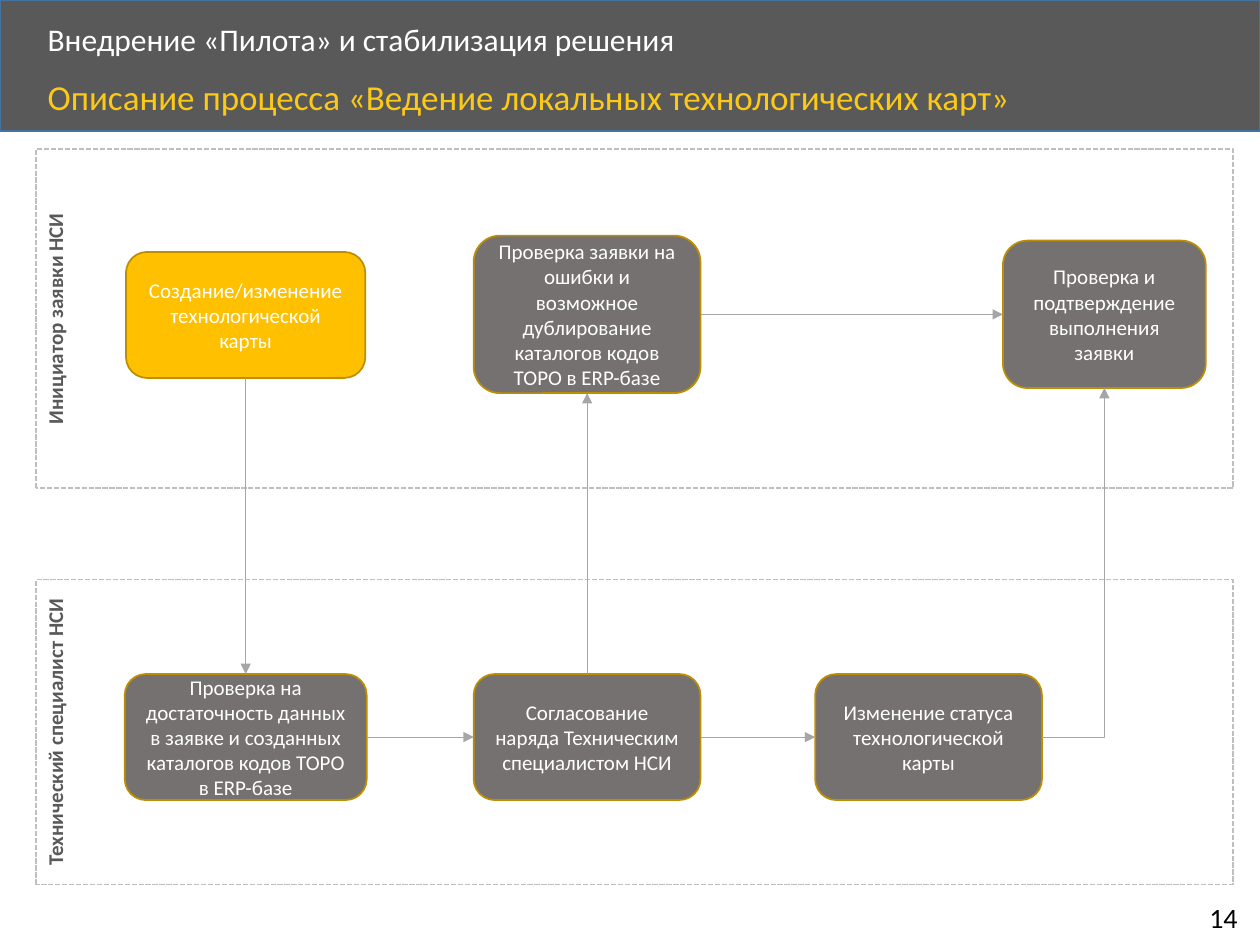
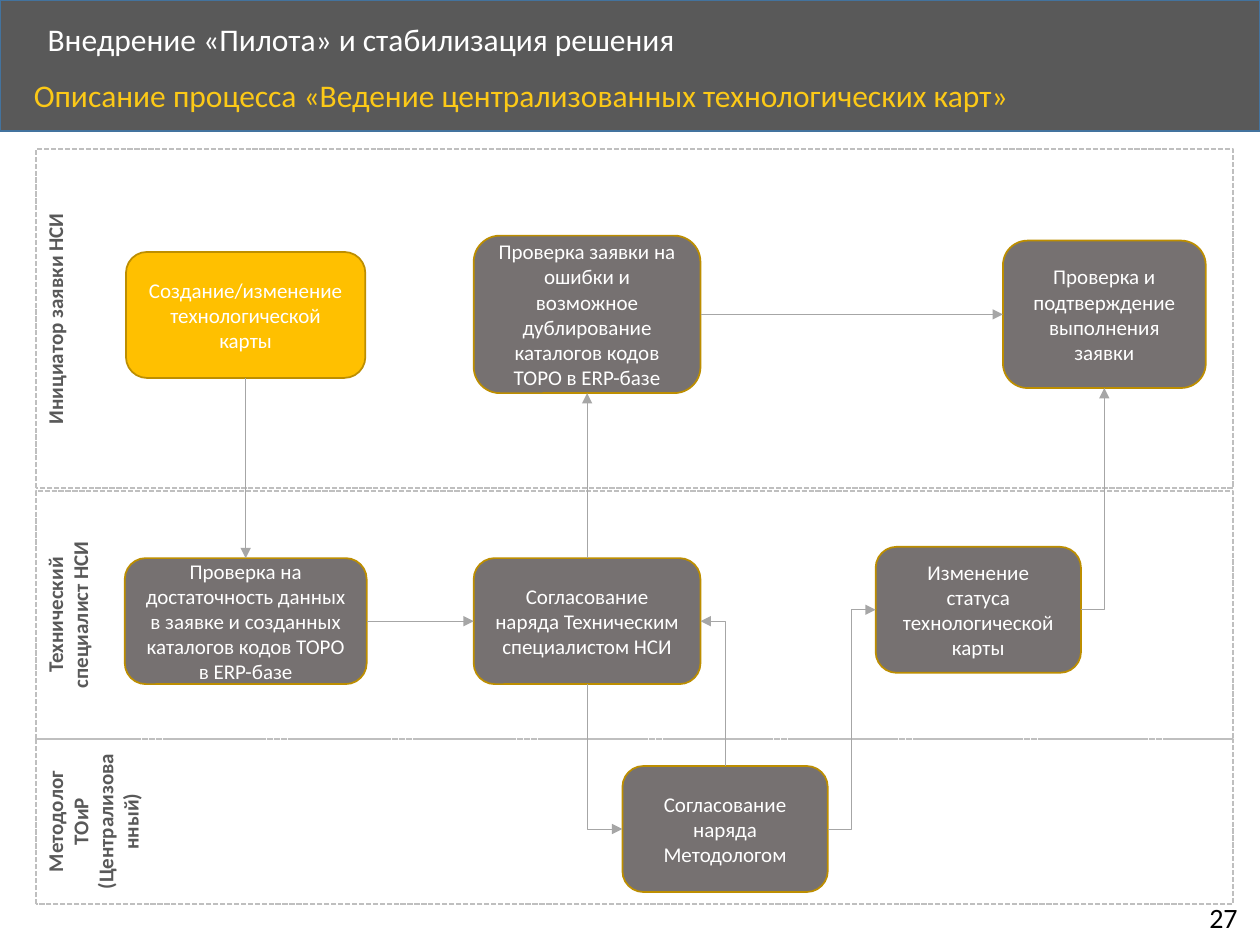
"""Build two swimlane slides on the upkeep of technological charts."""
from typing import NamedTuple

from lxml import etree
from pptx import Presentation
from pptx import util as u
from pptx.dml.color import RGBColor
from pptx.enum import dml, shapes, text
from pptx.oxml.ns import qn

WIDTH, HEIGHT = u.Inches(10), u.Inches(7.5)
COL, ROW = WIDTH / 100, HEIGHT / 75
FONT = "Calibri"
TOP, LEFT, BOTTOM, RIGHT = range(4)
HUE = {
    "band": "595959", "rim": "43739E", "white": "FFFFFF", "gold": "FCC917",
    "black": "000000", "lane": "BFBFBF", "step": "767171", "start": "FFC000",
    "edge": "BD8E00", "link": "A6A6A6",
}


class Area(NamedTuple):
    x: float
    y: float
    w: float
    h: float


class Lane(NamedTuple):
    y: float
    h: float
    words: str


class Step(NamedTuple):
    area: Area
    words: str
    fill: str = "step"


class Link(NamedTuple):
    head: str
    out: int
    tail: str
    into: int
    kind: str = "line"
    back: bool = False


class Page(NamedTuple):
    no: str
    title: str
    x: float
    size: int
    lanes: list[Lane]
    steps: dict[str, Step]
    links: list[Link]


LANE_X, LANE_W = 2.85, 95
FIRST = Lane(11.85, 26.9, "Инициатор заявки НСИ")
EXPERT = "Технический специалист НСИ"
STATUS = "Изменение статуса технологической карты"


def base(y: float) -> dict[str, Step]:
    """Give the steps both slides share; y is the row of the lower ones."""
    return {
        "start": Step(Area(10, 20, 19, 10),
                      "Создание/изменение технологической карты", "start"),
        "data": Step(Area(9.9, y, 19.2, 10),
                     "Проверка на достаточность данных в заявке и созданных "
                     "каталогов кодов ТОРО в ERP-базе"),
        "agree": Step(Area(37.6, y, 18, 10),
                      "Согласование наряда Техническим специалистом НСИ"),
        "check": Step(Area(37.6, 18.7, 18, 12.5),
                      "Проверка заявки на ошибки и возможное дублирование "
                      "каталогов кодов ТОРО в ERP-базе"),
        "final": Step(Area(79.6, 19.1, 16.1, 11.7),
                      "Проверка и подтверждение выполнения заявки"),
    }


COMMON = [
    Link("start", BOTTOM, "data", TOP),
    Link("data", RIGHT, "agree", LEFT),
    Link("agree", TOP, "check", BOTTOM),
    Link("check", RIGHT, "final", LEFT),
    Link("status", RIGHT, "final", BOTTOM, "bentConnector2"),
]
PAGES = [
    Page("14", "Описание процесса «Ведение локальных технологических карт»",
         2.8, 20,
         [FIRST, Lane(46, 24.2, EXPERT)],
         base(53.5) | {"status": Step(Area(64.7, 53.5, 18, 10), STATUS)},
         COMMON + [Link("agree", RIGHT, "status", LEFT)]),
    Page("27",
         "Описание процесса «Ведение централизованных технологических карт»",
         1.7, 18,
         [FIRST, Lane(38.95, 19.7, EXPERT),
          Lane(58.65, 13.1, "Методолог ТОиР\n(Централизованный)")],
         base(44.3) | {
             "status": Step(Area(69.5, 43.4, 16.3, 10), STATUS),
             "method": Step(Area(49.4, 60.8, 16.3, 10),
                            "Согласование наряда Методологом")},
         COMMON + [
             Link("method", LEFT, "agree", BOTTOM, "bentConnector2", True),
             Link("agree", RIGHT, "method", TOP, "bentConnector2", True),
             Link("method", RIGHT, "status", LEFT, "bentConnector3")]),
]


def hue(name: str) -> RGBColor:
    """Look up a colour."""
    return RGBColor.from_string(HUE[name])


def place(area: Area) -> list[int]:
    """Turn grid cells into slide lengths."""
    return [round(n * cell) for n, cell in zip(area, (COL, ROW) * 2)]


def write(shape, words: str, size: int, tint: str, *, bold: bool = False,
          mid: bool = False, centre: bool = False, lead: float = 1) -> None:
    """Fill a shape with text in one style."""
    frame = shape.text_frame
    frame.text = words
    frame.vertical_anchor = (text.MSO_ANCHOR.MIDDLE if mid
                             else text.MSO_ANCHOR.TOP)
    for par in frame.paragraphs:
        par.alignment = text.PP_ALIGN.CENTER if centre else text.PP_ALIGN.LEFT
        par.line_spacing = lead
        par.font.name, par.font.size = FONT, u.Pt(size)
        par.font.bold, par.font.color.rgb = bold, hue(tint)


def panel(slide, kind, area: Area, edge: str, fill: str = ""):
    """Draw an outlined shape, filled when a fill is named."""
    shape = slide.shapes.add_shape(kind, *place(area))
    shape.shadow.inherit = False
    if fill:
        shape.fill.solid()
        shape.fill.fore_color.rgb = hue(fill)
    else:
        shape.fill.background()
    shape.line.color.rgb, shape.line.width = hue(edge), u.Pt(1)
    return shape


def label(slide, area: Area, words: str, size: int, tint: str,
          wrap: bool = True, **style) -> None:
    """Add a text box."""
    box = slide.shapes.add_textbox(*place(area))
    box.text_frame.word_wrap = wrap
    write(box, words, size, tint, **style)


def frame(slide, page: Page) -> None:
    """Draw the header band, both titles and the page number."""
    panel(slide, shapes.MSO_SHAPE.RECTANGLE, Area(0, 0, 100, 10.4),
          "rim", "band")
    label(slide, Area(2.8, 1.4, 80.7, 3.8),
          "Внедрение «Пилота» и стабилизация решения", 18, "white",
          mid=True, lead=0.9)
    label(slide, Area(page.x, 5.9, 86.7, 4.5), page.title, page.size, "gold",
          lead=0.9)
    label(slide, Area(95, 71, 4.6, 3.7), page.no, 16, "black", wrap=False)


def lane(slide, item: Lane) -> None:
    """Draw a dashed lane turned so that its name reads upwards."""
    area = Area(LANE_X + (LANE_W - item.h) / 2,
                item.y + (item.h - LANE_W) / 2, item.h, LANE_W)
    shape = panel(slide, shapes.MSO_SHAPE.ROUNDED_RECTANGLE, area, "lane")
    shape.adjustments[0] = 0
    shape.rotation = 270
    shape.line.dash_style = dml.MSO_LINE.SQUARE_DOT
    write(shape, item.words, 12, "band", bold=True, centre=True)


def step(slide, item: Step):
    """Draw a process step."""
    shape = panel(slide, shapes.MSO_SHAPE.ROUNDED_RECTANGLE, item.area,
                  "edge", item.fill)
    write(shape, item.words, 12, "white", mid=True, centre=True)
    return shape


def join(slide, item: Link, boxes: dict) -> None:
    """Join two steps with an arrow."""
    kind = (shapes.MSO_CONNECTOR.STRAIGHT if item.kind == "line"
            else shapes.MSO_CONNECTOR.ELBOW)
    wire = slide.shapes.add_connector(kind, 0, 0, 0, 0)
    wire.begin_connect(boxes[item.head], item.out)
    wire.end_connect(boxes[item.tail], item.into)
    wire.line.color.rgb, wire.line.width = hue("link"), u.Pt(0.5)
    props = wire._element.spPr
    props.find(qn("a:prstGeom")).set("prst", item.kind)
    tip = "a:headEnd" if item.back else "a:tailEnd"
    etree.SubElement(props.find(qn("a:ln")), qn(tip), type="triangle")
    etree.SubElement(props, qn("a:effectLst"))


def main() -> None:
    """Build and save the slides."""
    deck = Presentation()
    deck.slide_width, deck.slide_height = WIDTH, HEIGHT
    for page in PAGES:
        slide = deck.slides.add_slide(deck.slide_layouts[6])
        frame(slide, page)
        for item in page.lanes:
            lane(slide, item)
        boxes = {name: step(slide, item) for name, item in page.steps.items()}
        for item in page.links:
            join(slide, item, boxes)
    deck.save("out.pptx")


if __name__ == "__main__":
    main()
